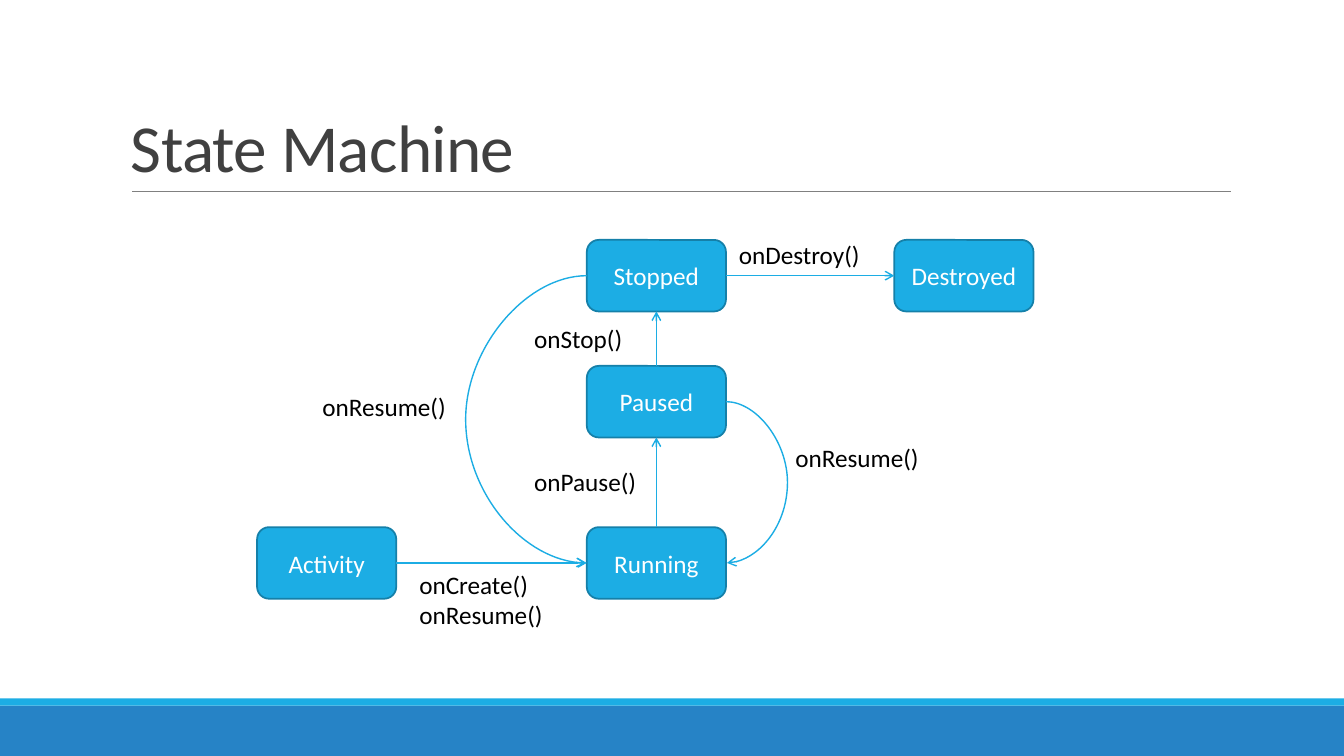
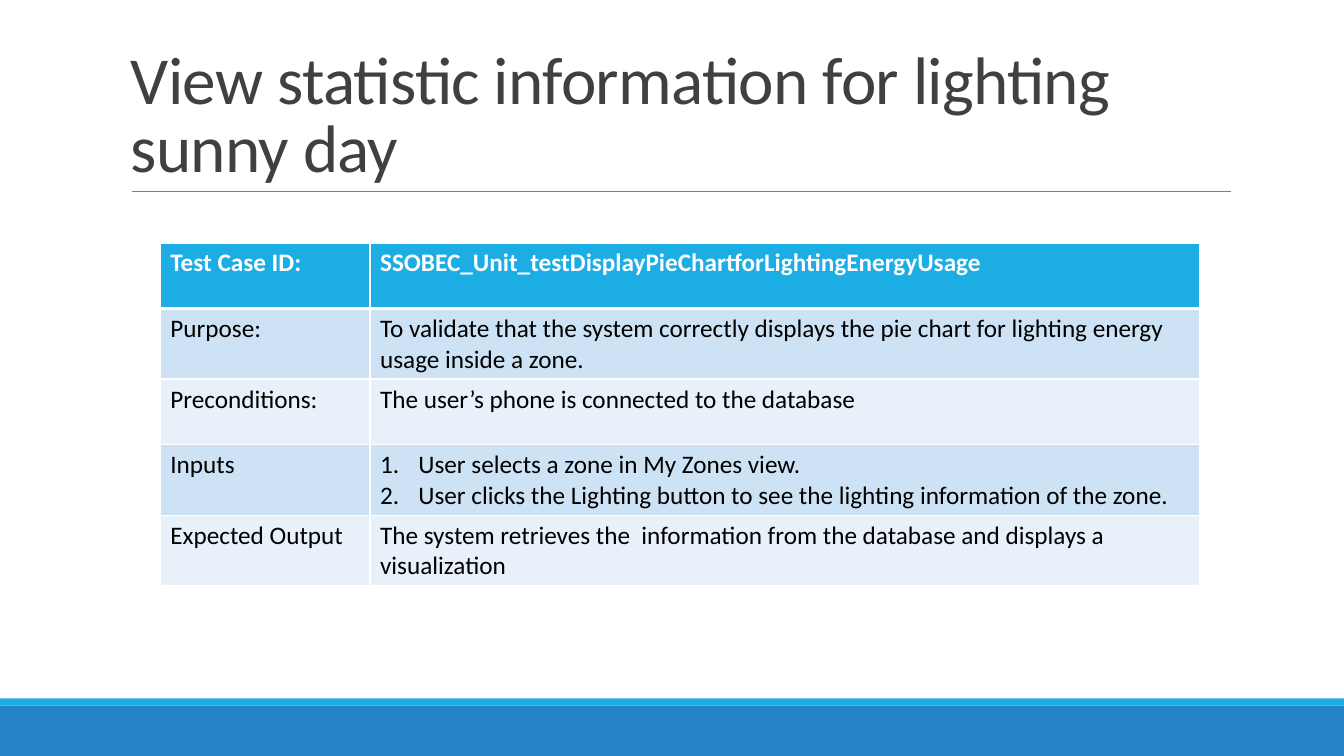
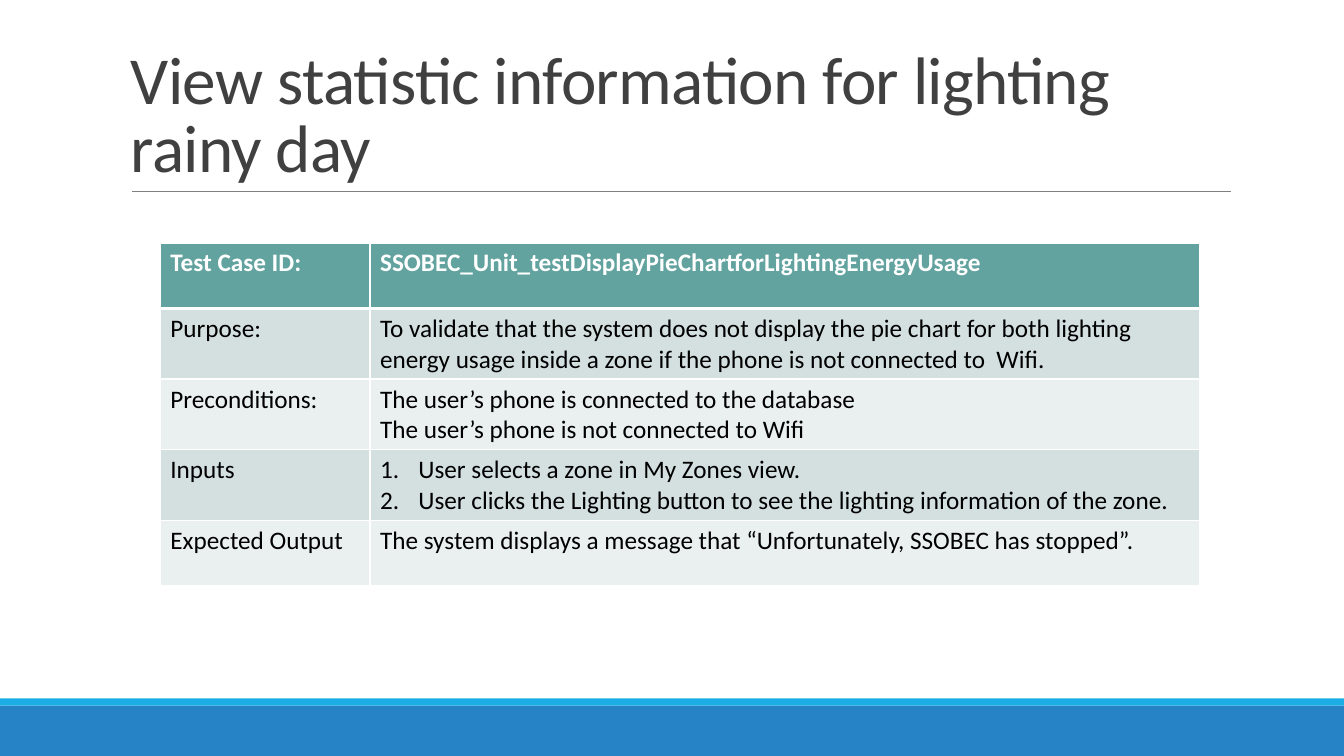
from dataclasses import dataclass
from lxml import etree
from pptx import Presentation
from pptx.dml.color import RGBColor
from pptx.enum.shapes import MSO_CONNECTOR, MSO_SHAPE
from pptx.enum.text import MSO_ANCHOR, MSO_AUTO_SIZE, PP_ALIGN
from pptx.oxml.ns import qn
from pptx.util import Inches, Pt

RECTANGLE, ROUNDED = MSO_SHAPE.RECTANGLE, MSO_SHAPE.ROUNDED_RECTANGLE
STRAIGHT, CURVE = MSO_CONNECTOR.STRAIGHT, MSO_CONNECTOR.CURVE
TOP, MIDDLE, BOTTOM = MSO_ANCHOR.TOP, MSO_ANCHOR.MIDDLE, MSO_ANCHOR.BOTTOM
LEFT, CENTER = PP_ALIGN.LEFT, PP_ALIGN.CENTER
GROW = MSO_AUTO_SIZE.SHAPE_TO_FIT_TEXT


@dataclass(frozen=True)
class Theme:
    font: str = "Calibri"
    title_size: int = 48
    body_size: int = 18
    title: str = "404040"
    text: str = "000000"
    white: str = "FFFFFF"
    rule: str = "808080"
    footer: str = "2683C6"
    accent: str = "1CADE4"
    accent_dark: str = "1580A9"
    # header, odd row, even row
    blue_table: tuple = ("1CADE4", "CDE3F5", "E8F1FA")
    green_table: tuple = ("62A39F", "D3E0DF", "EAF0F0")


THEME = Theme()
WIDTH, HEIGHT = 13.33, 7.5

# Content: state diagram
BOX_WIDTH, BOX_HEIGHT = 1.38, 0.71
COLUMNS = (2.55, 5.82, 8.87)
ROWS = (2.38, 3.63, 5.23)
STATES = {  # name: (column, row)
    "Activity": (0, 2), "Running": (1, 2), "Stopped": (1, 0),
    "Paused": (1, 1), "Destroyed": (2, 0),
}
TRANSITIONS = [  # from, side, to, side
    ("Activity", "right", "Running", "left"),
    ("Running", "top", "Paused", "bottom"),
    ("Paused", "top", "Stopped", "bottom"),
    ("Stopped", "right", "Destroyed", "left"),
]
RETURNS = [  # from, to, side, horizontal reach of the curve
    ("Paused", "Running", "right", 0.62),
    ("Stopped", "Running", "left", -1.22),
]
LABELS = [  # lines, left, top, width
    (["onCreate()", "onResume()"], 4.06, 5.6, 1.62),
    (["onPause()"], 5.2, 4.58, 1.31),
    (["onResume()"], 7.79, 4.34, 1.64),
    (["onStop()"], 5.2, 3.16, 1.26),
    (["onDestroy()"], 7.23, 2.33, 1.64),
    (["onResume()"], 3.1, 3.83, 1.64),
]

# Content: test cases
NUMBERED_ROW = "Inputs"
TEST_ID = ("Test Case ID:",
           ["SSOBEC_Unit_testDisplayPieChartforLightingEnergyUsage"])
CONNECTED = "The user’s phone is connected to the database"
INPUTS = (NUMBERED_ROW, [
    "User selects a zone in My Zones view.",
    "User clicks the Lighting button to see the lighting information of the zone."])
TEST_CASES = [
    ("View statistic information for lighting\vsunny day", THEME.blue_table, [
        TEST_ID,
        ("Purpose:", ["To validate that the system correctly displays the pie chart "
                      "for lighting energy usage inside a zone."]),
        ("Preconditions:", [CONNECTED]),
        INPUTS,
        ("Expected Output", ["The system retrieves the  information from the database "
                             "and displays a visualization "]),
    ]),
    ("View statistic information for lighting\vrainy day", THEME.green_table, [
        TEST_ID,
        ("Purpose:", ["To validate that the system does not display the pie chart for "
                      "both lighting energy usage inside a zone if the phone is not "
                      "connected to  Wifi."]),
        ("Preconditions:", [CONNECTED, "The user’s phone is not connected to Wifi"]),
        INPUTS,
        ("Expected Output", ["The system displays a message that “Unfortunately, "
                             "SSOBEC has stopped”. "]),
    ]),
]
TABLE_LEFT, TABLE_TOP, TABLE_HEIGHT = 1.59, 2.41, 3.4
TABLE_COLUMNS, TABLE_ROW = (2.08, 8.23), 0.65


# Text and shapes
def color(value):
    return RGBColor.from_string(value)


def write(frame, lines, size=THEME.body_size, fill=THEME.text, bold=False,
          align=LEFT, line_spacing=None, tracking=None, numbered=False):
    frame.word_wrap = True
    for index, line in enumerate(lines):
        paragraph = frame.add_paragraph() if index else frame.paragraphs[0]
        paragraph.text = line
        paragraph.alignment = align
        if line_spacing:
            paragraph.line_spacing = line_spacing
        if numbered:
            properties = paragraph._p.get_or_add_pPr()
            properties.set("marL", str(Inches(0.38)))
            properties.set("indent", str(-Inches(0.38)))
            etree.SubElement(properties, qn("a:buAutoNum"), type="arabicPeriod")
        for run in paragraph.runs:
            run.font.name, run.font.size, run.font.bold = THEME.font, Pt(size), bold
            run.font.color.rgb = color(fill)
            if tracking:
                run._r.get_or_add_rPr().set("spc", str(int(tracking * 100)))


def add_box(slide, kind, left, top, width, height, fill, outline=None):
    shape = slide.shapes.add_shape(kind, *map(Inches, (left, top, width, height)))
    shape.shadow.inherit = False
    shape.fill.solid()
    shape.fill.fore_color.rgb = color(fill)
    if outline:
        shape.line.color.rgb = color(outline)
        shape.line.width = Pt(1.25)
    else:
        shape.line.fill.background()
    return shape


def add_text(slide, lines, left, top, width, height, anchor=TOP, grow=False, **style):
    box = slide.shapes.add_textbox(*map(Inches, (left, top, width, height)))
    write(box.text_frame, lines, **style)
    box.text_frame.vertical_anchor = anchor
    if grow:
        box.text_frame.auto_size = GROW


def add_line(slide, start, end, stroke=THEME.accent, width=1, arrow=True, reach=None):
    kind = CURVE if reach else STRAIGHT
    line = slide.shapes.add_connector(kind, *map(Inches, (*start, *end)))
    line.line.color.rgb = color(stroke)
    line.line.width = Pt(width)
    properties = line._element.spPr
    if arrow:
        etree.SubElement(properties.find(qn("a:ln")), qn("a:tailEnd"), type="arrow")
    if reach:
        bend = round(reach / (end[0] - start[0]) * 100000)
        adjustments = properties.find(qn("a:prstGeom")).find(qn("a:avLst"))
        etree.SubElement(adjustments, qn("a:gd"), name="adj1", fmla=f"val {bend}")
    etree.SubElement(properties, qn("a:effectLst"))


def add_slide(presentation, title):
    slide = presentation.slides.add_slide(presentation.slide_layouts[6])
    add_box(slide, RECTANGLE, 0, 7, WIDTH, 0.5, THEME.footer)
    add_box(slide, RECTANGLE, 0, 6.93, WIDTH, 0.07, THEME.accent)
    add_line(slide, (1.31, 1.9), (12.21, 1.9), THEME.rule, 0.5, arrow=False)
    add_text(slide, [title], 1.2, 0.31, 11, 1.59, anchor=BOTTOM, fill=THEME.title,
             size=THEME.title_size, line_spacing=0.85, tracking=-0.5)
    return slide


# State diagram
def side_point(state, side):
    column, row = STATES[state]
    across, down = {"left": (0, 0.5), "right": (1, 0.5),
                    "top": (0.5, 0), "bottom": (0.5, 1)}[side]
    return COLUMNS[column] + across * BOX_WIDTH, ROWS[row] + down * BOX_HEIGHT


def add_state_machine(slide):
    for name, (column, row) in STATES.items():
        state = add_box(slide, ROUNDED, COLUMNS[column], ROWS[row], BOX_WIDTH,
                        BOX_HEIGHT, THEME.accent, THEME.accent_dark)
        write(state.text_frame, [name], fill=THEME.white, align=CENTER)
        state.text_frame.vertical_anchor = MIDDLE
    for source, source_side, target, target_side in TRANSITIONS:
        add_line(slide, side_point(source, source_side), side_point(target, target_side))
    for source, target, side, reach in RETURNS:
        start, (end_x, end_y) = side_point(source, side), side_point(target, side)
        # a curve is bent as a share of its width, so the width must not be zero
        nudge = 0.01 if reach > 0 else -0.01
        add_line(slide, start, (end_x + nudge, end_y), reach=reach)
    for lines, left, top, width in LABELS:
        add_text(slide, lines, left, top, width, 0.09 + 0.31 * len(lines), grow=True)


# Test case table
def set_borders(cell, **widths):
    properties = cell._tc.get_or_add_tcPr()
    for edge in "LRTB":
        line = etree.SubElement(properties, qn(f"a:ln{edge}"),
                                w=str(Pt(widths.get(edge, 1))))
        fill = etree.SubElement(line, qn("a:solidFill"))
        etree.SubElement(fill, qn("a:srgbClr"), val=THEME.white)


def add_test_case(slide, rows, palette):
    frame = slide.shapes.add_table(
        len(rows), len(TABLE_COLUMNS), Inches(TABLE_LEFT), Inches(TABLE_TOP),
        Inches(sum(TABLE_COLUMNS)), Inches(TABLE_ROW * len(rows)))
    frame.height = Inches(TABLE_HEIGHT)
    for column, width in zip(frame.table.columns, TABLE_COLUMNS):
        column.width = Inches(width)
    header, odd, even = palette
    for index, (label, lines) in enumerate(rows):
        is_header = index == 0
        fill = header if is_header else odd if index % 2 else even
        borders = {0: {"B": 3}, 1: {"T": 3}}.get(index, {})
        for column, content in enumerate(([label], lines)):
            cell = frame.table.cell(index, column)
            set_borders(cell, **borders)
            cell.fill.solid()
            cell.fill.fore_color.rgb = color(fill)
            write(cell.text_frame, content, bold=is_header,
                  fill=THEME.white if is_header else THEME.text,
                  numbered=column == 1 and label == NUMBERED_ROW)


# Build the slides
presentation = Presentation()
presentation.slide_width, presentation.slide_height = Inches(WIDTH), Inches(HEIGHT)
add_state_machine(add_slide(presentation, "State Machine"))
for title, palette, rows in TEST_CASES:
    add_test_case(add_slide(presentation, title), rows, palette)
presentation.save("out.pptx")
